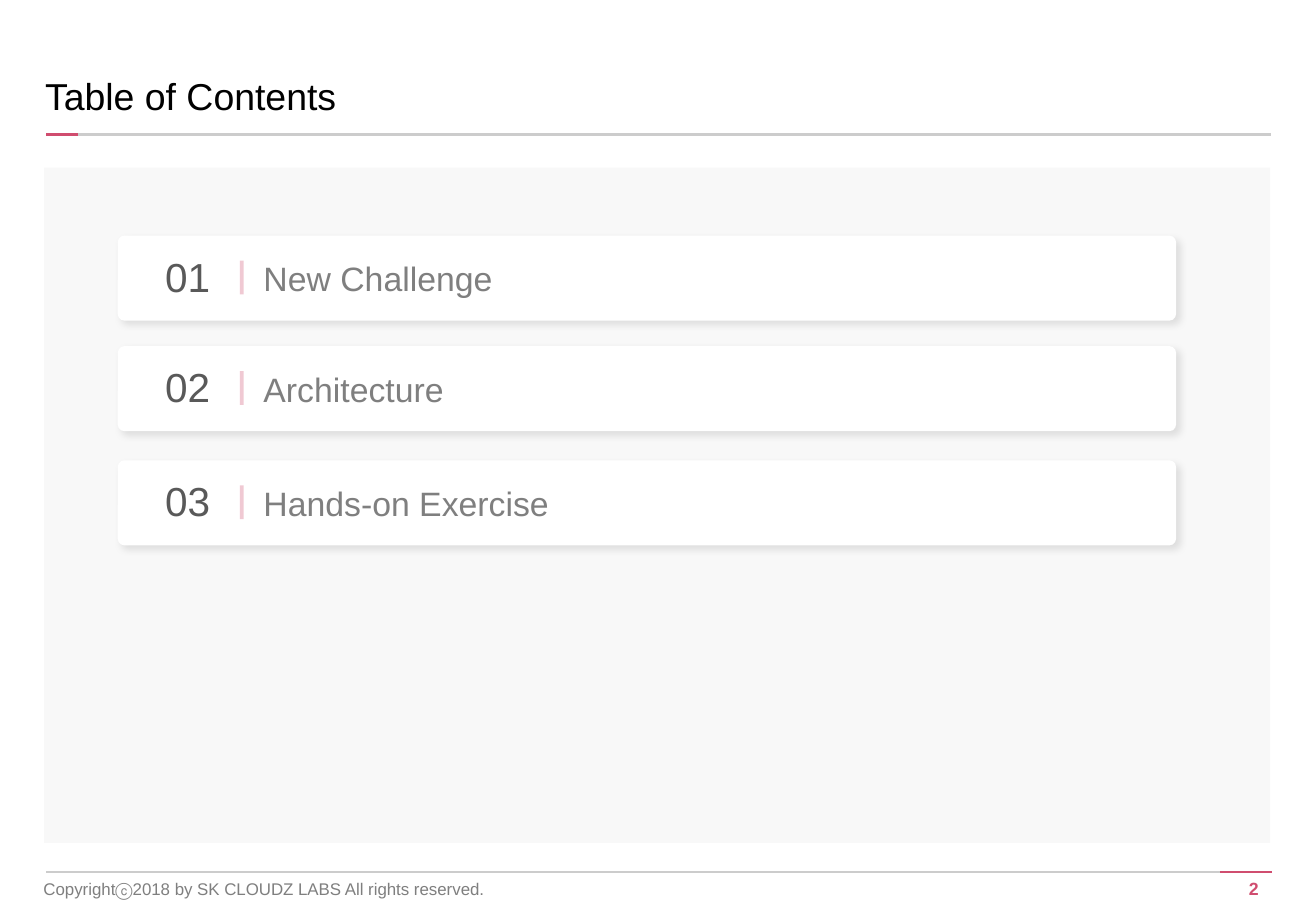
"""Builds the table of contents slide."""
import pptx
import pptx.dml.color
import pptx.enum.shapes
import pptx.enum.text
import pptx.oxml
import pptx.oxml.ns
import pptx.util

Pt = pptx.util.Pt
RGBColor = pptx.dml.color.RGBColor
Shape = pptx.enum.shapes.MSO_SHAPE
Align = pptx.enum.text.PP_ALIGN
Anchor = pptx.enum.text.MSO_ANCHOR

BLACK = RGBColor(0x00, 0x00, 0x00)
WHITE = RGBColor(0xFF, 0xFF, 0xFF)
PANEL = RGBColor(0xF8, 0xF8, 0xF8)
RULE = RGBColor(0xCC, 0xCC, 0xCC)
ROSE = RGBColor(0xD0, 0x4D, 0x6F)
GRAY = RGBColor(0x7F, 0x7F, 0x7F)
DARK = RGBColor(0x59, 0x59, 0x59)

NAMESPACE = pptx.oxml.ns.nsdecls("a")
CARD_SHADOW = (
    f'<a:effectLst {NAMESPACE}><a:outerShdw blurRad="{Pt(4)}" dist="{Pt(3)}" '
    'dir="2700000" algn="tl" rotWithShape="0"><a:srgbClr val="000000">'
    '<a:alpha val="10000"/></a:srgbClr></a:outerShdw></a:effectLst>'
)


class ContentsPage:
    """Holds the style and the current slide."""

    font_name = "Arial"

    def __init__(self, deck):
        self.page = deck.slides.add_slide(deck.slide_layouts[5])

    def fill_text(self, box, words, size, color, align=Align.LEFT,
                  anchor=Anchor.TOP, bold=False):
        frame = box.text_frame
        frame.word_wrap = True
        frame.auto_size = pptx.enum.text.MSO_AUTO_SIZE.NONE
        frame.vertical_anchor = anchor
        frame.margin_left = frame.margin_right = Pt(7.2)
        frame.margin_top = frame.margin_bottom = Pt(3.6)
        para = frame.paragraphs[0]
        para.alignment = align
        span = para.add_run()
        span.text = words
        span.font.name = self.font_name
        span.font.size = Pt(size)
        span.font.bold = bold
        span.font.color.rgb = color
        return frame

    def title(self, words, left, top, width, height):
        box = self.page.shapes.title
        box.left, box.top = Pt(left), Pt(top)
        box.width, box.height = Pt(width), Pt(height)
        frame = self.fill_text(box, words, 22.2, BLACK, anchor=Anchor.MIDDLE)
        frame.margin_left = Pt(13.7)
        frame.paragraphs[0].line_spacing = 0.9

    def text(self, words, left, top, width, height, size, color, **style):
        box = self.page.shapes.add_textbox(Pt(left), Pt(top), Pt(width), Pt(height))
        return self.fill_text(box, words, size, color, **style)

    def block(self, kind, left, top, width, height, color):
        shape = self.page.shapes.add_shape(
            kind, Pt(left), Pt(top), Pt(width), Pt(height))
        shape.fill.solid()
        shape.fill.fore_color.rgb = color
        shape.line.fill.background()
        shape.shadow.inherit = False
        return shape

    def card(self, left, top, width, height):
        shape = self.block(Shape.ROUNDED_RECTANGLE, left, top, width, height, WHITE)
        shape.adjustments[0] = 0.078
        properties = shape.element.spPr
        properties.remove(properties.find(pptx.oxml.ns.qn("a:effectLst")))
        properties.append(pptx.oxml.parse_xml(CARD_SHADOW))

    def line(self, left, top, right, bottom, color, weight=1.5, opacity=100):
        line = self.page.shapes.add_connector(
            pptx.enum.shapes.MSO_CONNECTOR.STRAIGHT,
            Pt(left), Pt(top), Pt(right), Pt(bottom))
        line.line.color.rgb = color
        line.line.width = Pt(weight)
        properties = line.element.spPr
        if opacity < 100:
            tint = properties.find(".//" + pptx.oxml.ns.qn("a:srgbClr"))
            tint.append(pptx.oxml.parse_xml(
                f'<a:alpha {NAMESPACE} val="{opacity * 1000}"/>'))
        properties.append(pptx.oxml.parse_xml(f"<a:effectLst {NAMESPACE}/>"))

    def entry(self, number, words, top):
        self.card(69.8, top, 627.1, 50.4)
        self.text(number, 79.9, top + 6, 62.6, 36, 24, DARK, align=Align.CENTER)
        self.line(143.3, top + 14.8, 143.3, top + 34.8, ROSE, 2.25, 30)
        self.text(words, 149, top + 9.6, 440.6, 31.7, 20, GRAY)


def main():
    deck = pptx.Presentation()
    deck.slide_width, deck.slide_height = Pt(779.8), Pt(540)
    contents = ContentsPage(deck)

    contents.title("Table of Contents", 13, 41.8, 526.3, 33.1)
    contents.line(27.4, 79.9, 753.1, 79.9, RULE)
    contents.line(27.4, 79.9, 46.1, 79.9, ROSE)
    contents.block(Shape.RECTANGLE, 26.2, 99.4, 726.5, 400.3, PANEL)

    entries = [("New Challenge", 139.7), ("Architecture", 205.2),
               ("Hands-on Exercise", 272.9)]
    for number, (words, top) in enumerate(entries, 1):
        contents.entry(f"{number:02d}", words, top)

    contents.line(27.4, 517, 753.1, 517, RULE)
    contents.line(722.9, 517, 753.8, 517, ROSE)
    contents.text("Copyrightⓒ2018 by SK CLOUDZ LABS All rights reserved.",
                  18.7, 514.8, 410.4, 24.5, 10, GRAY, anchor=Anchor.MIDDLE)
    page_number = contents.text("2", 704.9, 517, 41, 20.2, 10.5, ROSE,
                                align=Align.RIGHT, bold=True)
    page_number.margin_right = 0
    deck.save("out.pptx")


if __name__ == "__main__":
    main()
